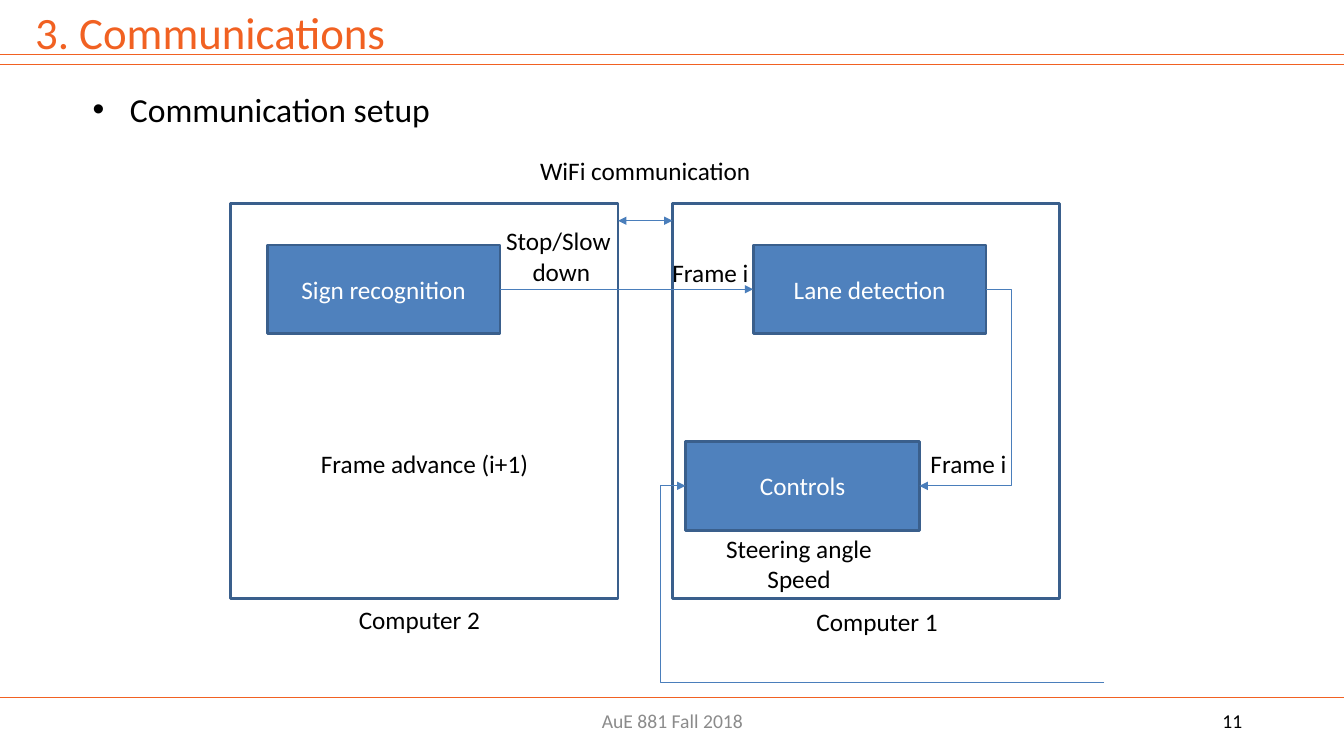
import pptx
import pptx.util
import pptx.dml.color
import pptx.enum.shapes
import pptx.enum.text
import pptx.oxml
import pptx.oxml.ns
from dataclasses import dataclass
from lxml import etree

Inches = pptx.util.Inches
Pt = pptx.util.Pt
CONNECTOR = pptx.enum.shapes.MSO_CONNECTOR
ALIGN = pptx.enum.text.PP_ALIGN
ANCHOR = pptx.enum.text.MSO_ANCHOR
qn = pptx.oxml.ns.qn


@dataclass(frozen=True)
class Theme:
    font: str = "Calibri"
    accent: str = "F16122"
    block: str = "4F81BD"
    outline: str = "3A5F8C"
    arrow: str = "4A7EBB"
    ink: str = "000000"
    muted: str = "8B8B8B"
    white: str = "FFFFFF"
    title: int = 32
    bullet: int = 24
    label: int = 18
    footer: int = 14


theme = Theme()


def write(box, text, size, color, align=ALIGN.CENTER, anchor=ANCHOR.TOP):
    frame = box.text_frame
    frame.word_wrap = True
    frame.vertical_anchor = anchor
    frame.text = text
    for para in frame.paragraphs:
        para.alignment = align
        for span in para.runs:
            span.font.name = theme.font
            span.font.size = Pt(size)
            span.font.color.rgb = pptx.dml.color.RGBColor.from_string(color)


def connect(kind, start, end, color, heads=(), bend=None):
    line = page.shapes.add_connector(kind, *[Inches(v) for v in start + end])
    line.line.color.rgb = pptx.dml.color.RGBColor.from_string(color)
    line.line.width = Pt(0.75)
    outline = line.line._get_or_add_ln()
    for head in heads:
        etree.SubElement(outline, qn("a:" + head), type="triangle")
    properties = line._element.spPr
    etree.SubElement(properties, qn("a:effectLst"))
    if bend is not None:
        guides = properties.find(qn("a:prstGeom")).get_or_add_avLst()
        etree.SubElement(guides, qn("a:gd"), name="adj1", fmla=f"val {round(bend * 100000)}")
    return line


deck = pptx.Presentation()
deck.slide_width, deck.slide_height = Inches(13.33), Inches(7.5)
page = deck.slides.add_slide(deck.slide_layouts[6])

# Header and footer rules
for y in (0.54, 0.64, 6.92):
    connect(CONNECTOR.STRAIGHT, (0, y), (13.33, y), theme.accent)

# Computers and their processing blocks
blocks = {}
for name, left, top, width, height in (
    ("Computer 2", 2.29, 2.02, 3.84, 3.92),
    ("Computer 1", 6.67, 2.02, 3.84, 3.92),
    ("Sign recognition", 2.65, 2.43, 2.31, 0.88),
    ("Lane detection", 7.47, 2.43, 2.31, 0.88),
    ("Controls", 6.8, 4.38, 2.32, 0.88),
):
    box = page.shapes.add_shape(
        pptx.enum.shapes.MSO_SHAPE.RECTANGLE,
        Inches(left), Inches(top), Inches(width), Inches(height))
    box.shadow.inherit = False
    box.line.color.rgb = pptx.dml.color.RGBColor.from_string(theme.outline)
    box.line.width = Pt(2)
    if name.startswith("Computer"):
        box.fill.background()
    else:
        box.fill.solid()
        box.fill.fore_color.rgb = pptx.dml.color.RGBColor.from_string(theme.block)
        write(box, name, theme.label, theme.white, anchor=ANCHOR.MIDDLE)
    blocks[name] = box

# Data flow
flow = connect(CONNECTOR.STRAIGHT, (4.96, 2.87), (7.47, 2.87), theme.arrow, ["tailEnd"])
flow.begin_connect(blocks["Sign recognition"], 3)
flow.end_connect(blocks["Lane detection"], 1)
connect(CONNECTOR.STRAIGHT, (6.13, 2.19), (6.67, 2.19), theme.arrow, ["headEnd", "tailEnd"])
connect(CONNECTOR.ELBOW, (9.78, 2.87), (9.12, 4.82), theme.arrow, ["tailEnd"], -0.38)
connect(CONNECTOR.ELBOW, (10.95, 6.77), (6.8, 4.82), theme.arrow, ["tailEnd"], 1.06)

# Diagram labels
for text, left, top, width, height, align in (
    ("WiFi communication", 5.08, 1.49, 2.64, 0.7, ALIGN.CENTER),
    ("Stop/Slow\n down", 4.16, 2.19, 2.76, 0.7, ALIGN.CENTER),
    ("Frame i", 6.57, 2.5, 1.91, 0.4, ALIGN.LEFT),
    ("Frame i", 9.13, 4.4, 1.91, 0.4, ALIGN.LEFT),
    ("Frame advance (i+1)", 2.89, 4.4, 2.64, 0.7, ALIGN.CENTER),
    ("Steering angle\nSpeed", 6.54, 5.24, 2.77, 0.7, ALIGN.CENTER),
    ("Computer 2", 2.84, 5.95, 2.64, 0.4, ALIGN.CENTER),
    ("Computer 1", 7.38, 5.97, 2.64, 0.4, ALIGN.CENTER),
):
    label = page.shapes.add_textbox(Inches(left), Inches(top), Inches(width), Inches(height))
    write(label, text, theme.label, theme.ink, align)

# Title
title = page.shapes.add_textbox(Inches(0.25), 0, Inches(9.25), Inches(0.66))
write(title, "3. Communications", theme.title, theme.accent, ALIGN.LEFT)

# Bulleted heading
body = page.shapes.add_textbox(Inches(0.25), Inches(0.83), Inches(12.92), Inches(5.93))
write(body, "Communication setup", theme.bullet, theme.ink, ALIGN.LEFT)
settings = body.text_frame.paragraphs[0]._p.get_or_add_pPr()
settings.set("marL", str(Inches(0.94)))
settings.set("indent", str(Inches(-0.37)))
etree.SubElement(settings, qn("a:buFont"), typeface="Arial")
etree.SubElement(settings, qn("a:buChar"), char="•")

# Footer
course = page.shapes.add_textbox(Inches(4.42), Inches(6.95), Inches(4.5), Inches(0.4))
write(course, "AuE 881 Fall 2018", theme.footer, theme.muted, anchor=ANCHOR.MIDDLE)
number = page.shapes.add_textbox(Inches(9.42), Inches(6.95), Inches(3), Inches(0.4))
write(number, "11", theme.footer, theme.ink, ALIGN.RIGHT, ANCHOR.MIDDLE)

deck.save("out.pptx")
